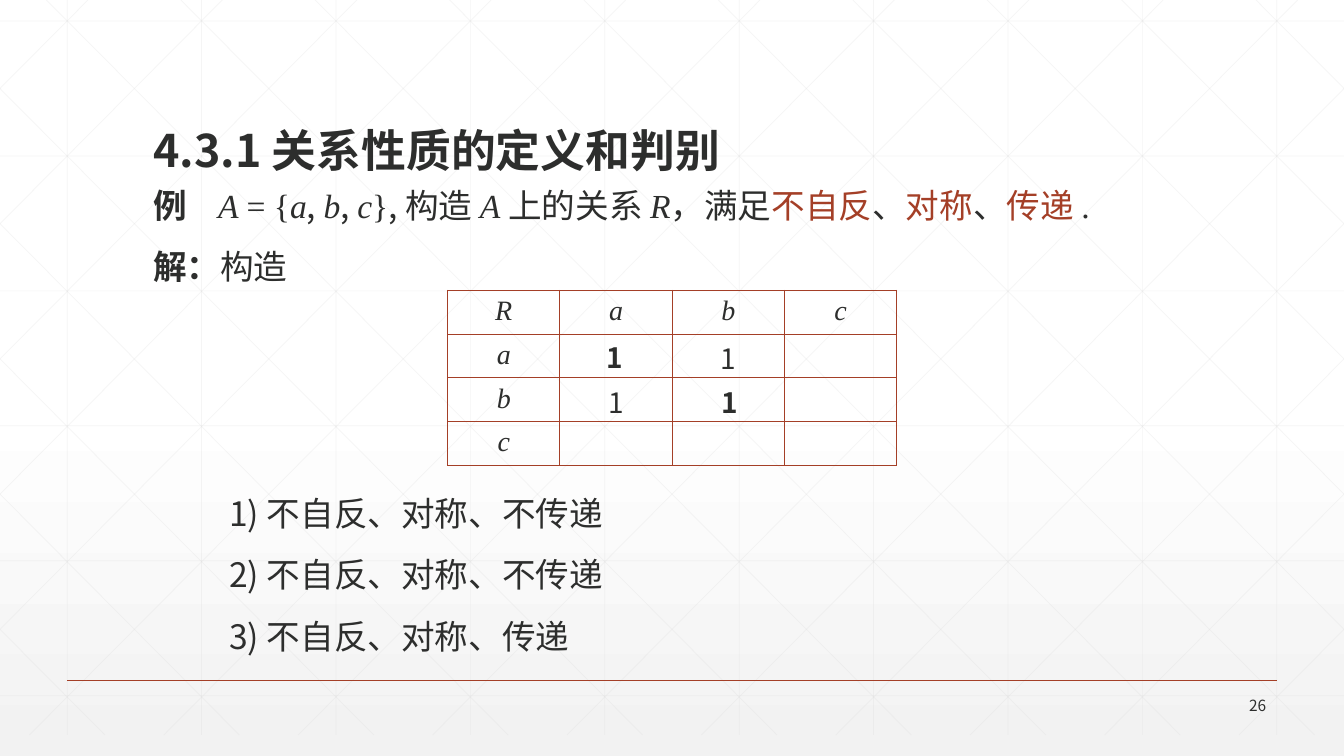
from lxml import etree
from pptx import Presentation
from pptx import util as u
from pptx.dml.color import RGBColor
from pptx.enum import shapes, text
from pptx.oxml import ns

SANS, SERIF = "Noto Sans CJK SC", "Times New Roman"
INK, RED, GRID = "2D2E2D", "A43F27", "D9D9D9"
STYLES = {
    "title": {"name": SANS, "size": u.Pt(32), "bold": True},
    "head": {"name": SANS, "size": u.Pt(24), "bold": True},
    "body": {"name": SERIF, "size": u.Pt(24)},
    "sans": {"name": SANS, "size": u.Pt(24)},
    "math": {"name": SERIF, "size": u.Pt(24), "italic": True},
    "red": {"name": SERIF, "size": u.Pt(24), "color": RED},
    "label": {"name": SERIF, "size": u.Pt(20), "italic": True},
    "digit": {"name": SANS, "size": u.Pt(20)},
    "diagonal": {"name": SANS, "size": u.Pt(20), "bold": True},
    "number": {"name": SANS, "size": u.Pt(11)},
}
TITLE = [[("4.3.1 关系性质的定义和判别", "title")]]
PROBLEM = [
    [("例\t", "head"), ("A ", "math"), ("= {", "body"), ("a", "math"),
     (", ", "sans"), ("b", "math"), (", ", "sans"), ("c", "math"),
     ("}", "body"), (", ", "sans"), ("构造 ", "body"), ("A ", "math"),
     ("上的关系 ", "body"), ("R", "math"), ("，满足", "body"),
     ("不自反", "red"), ("、", "body"), ("对称", "red"), ("、", "body"),
     ("传递 ", "red"), (".", "body")],
    [("解：", "head"), ("构造", "body")],
]
CASES = [[(f"{count}) ", "sans"), (claim, "body")] for count, claim in enumerate(
    ["不自反、对称、不传递", "不自反、对称、不传递", "不自反、对称、传递"], 1)]
RELATION = [["R", "a", "b", "c"], ["a", "", "1", ""],
            ["b", "1", "", ""], ["c", "", "", ""]]
DIAGONAL_ONES = [(15.04, 8.46), (17.93, 9.6)]

WIDTH, HEIGHT = 33.87, 19.05
PITCH, ROW_PITCH, GRID_BOTTOM = WIDTH / 10, 3.4, 18.52
FIRST_ROW, FIRST_SLANT, SLANT_RUN = 0.53, 1.17, 18.41
MARGIN, TEXT_WIDTH = 3.61, 26.67


def rgb(value):
    return RGBColor.from_string(value)


def add_child(parent, tag, **attributes):
    return etree.SubElement(parent, ns.qn(tag), attributes)


def add_line(page, start, end, color, width, alpha=None):
    line = page.shapes.add_connector(
        shapes.MSO_CONNECTOR.STRAIGHT, *[u.Cm(v) for v in (*start, *end)])
    line.line.color.rgb = rgb(color)
    line.line.width = u.Pt(width)
    if alpha:
        add_child(line.line.fill._xPr.find(".//" + ns.qn("a:srgbClr")),
                  "a:alpha", val=str(alpha * 1000))
    add_child(line._element.spPr, "a:effectLst")


def add_span(para, words, style):
    span = para.add_run()
    span.text = words
    values = {"color": INK, **STYLES[style]}
    span.font.color.rgb = rgb(values.pop("color"))
    for key, value in values.items():
        setattr(span.font, key, value)
    add_child(span._r.get_or_add_rPr(), "a:ea", typeface=SANS)


def add_text(page, place, paragraphs, wrap=True, tab=None, frame_values={}, **values):
    box = page.shapes.add_textbox(*[u.Cm(v) for v in place])
    frame = box.text_frame
    frame.word_wrap = wrap
    for key, value in frame_values.items():
        setattr(frame, key, value)
    for index, spans in enumerate(paragraphs):
        para = frame.add_paragraph() if index else frame.paragraphs[0]
        for key, value in values.items():
            if index or key != "space_before":
                setattr(para, key, value)
        if tab and index == 0:
            tabs = add_child(para._p.get_or_add_pPr(), "a:tabLst")
            add_child(tabs, "a:tab", pos=str(u.Cm(tab)), algn="l")
        for words, style in spans:
            add_span(para, words, style)


def add_grid(page):
    lines = [((x, 0), (x, GRID_BOTTOM))
             for x in [PITCH * (k + 0.5) for k in range(10)]]
    lines += [((0, y), (WIDTH, y))
              for y in [FIRST_ROW + ROW_PITCH * k for k in range(6)]]
    slope = GRID_BOTTOM / SLANT_RUN
    for k in range(-5, 10):
        top = FIRST_SLANT + PITCH * k
        left, right = max(0, top), min(WIDTH, top + SLANT_RUN)
        high, low = (left - top) * slope, (right - top) * slope
        lines.append(((left, high), (right, low)))
        lines.append(((WIDTH - left, high), (WIDTH - right, low)))
    for start, end in lines:
        add_line(page, start, end, GRID, 0.5, 25)


def add_relation(page):
    frame = page.shapes.add_table(
        4, 4, *[u.Cm(v) for v in (11.28, 7.32, 11.32, 4.4)])
    table = frame.table
    table.first_row = table.horz_banding = False
    for r, row in enumerate(RELATION):
        for c, entry in enumerate(row):
            cell = table.cell(r, c)
            cell.margin_top = u.Cm(0.07 if entry == "1" else 0.13)
            cell.margin_bottom = 0
            para = cell.text_frame.paragraphs[0]
            para.alignment = text.PP_ALIGN.CENTER
            if entry:
                add_span(para, entry, "digit" if entry == "1" else "label")
            properties = cell._tc.get_or_add_tcPr()
            for side in ("a:lnL", "a:lnR", "a:lnT", "a:lnB"):
                border = add_child(properties, side, w=str(u.Pt(1)))
                add_child(add_child(border, "a:solidFill"), "a:srgbClr", val=RED)
            cell.fill.background()


def main():
    deck = Presentation()
    deck.slide_width, deck.slide_height = u.Cm(WIDTH), u.Cm(HEIGHT)
    page = deck.slides.add_slide(deck.slide_layouts[6])
    fill = page.background.fill
    fill.gradient()
    fill.gradient_angle = 270
    for stop, (position, color) in zip(fill.gradient_stops,
                                       [(0.53, "FFFFFF"), (1, "F2F2F2")]):
        stop.position = position
        stop.color.rgb = rgb(color)

    add_grid(page)
    add_line(page, (PITCH / 2, 17.15), (WIDTH - PITCH / 2, 17.15), RED, 1)
    spacing = {"line_spacing": 0.9, "space_before": u.Pt(18)}
    add_text(page, (MARGIN, 4.65, TEXT_WIDTH, 2.6), PROBLEM, tab=1.64, **spacing)
    add_text(page, (MARGIN + 1.92, 12.4, TEXT_WIDTH - 1.92, 4.4), CASES, **spacing)
    add_text(page, (29.62, 17.48, 2.54, 0.61), [[("26", "number")]],
             frame_values={"vertical_anchor": text.MSO_ANCHOR.MIDDLE},
             alignment=text.PP_ALIGN.RIGHT)
    add_relation(page)
    for left, top in DIAGONAL_ONES:
        add_text(page, (left, top, 0.97, 1.12), [[("1", "diagonal")]], wrap=False)
    add_text(page, (MARGIN, 1.4, TEXT_WIDTH, 3.18), TITLE, line_spacing=0.9,
             frame_values={"vertical_anchor": text.MSO_ANCHOR.BOTTOM})
    deck.save("out.pptx")


if __name__ == "__main__":
    main()
